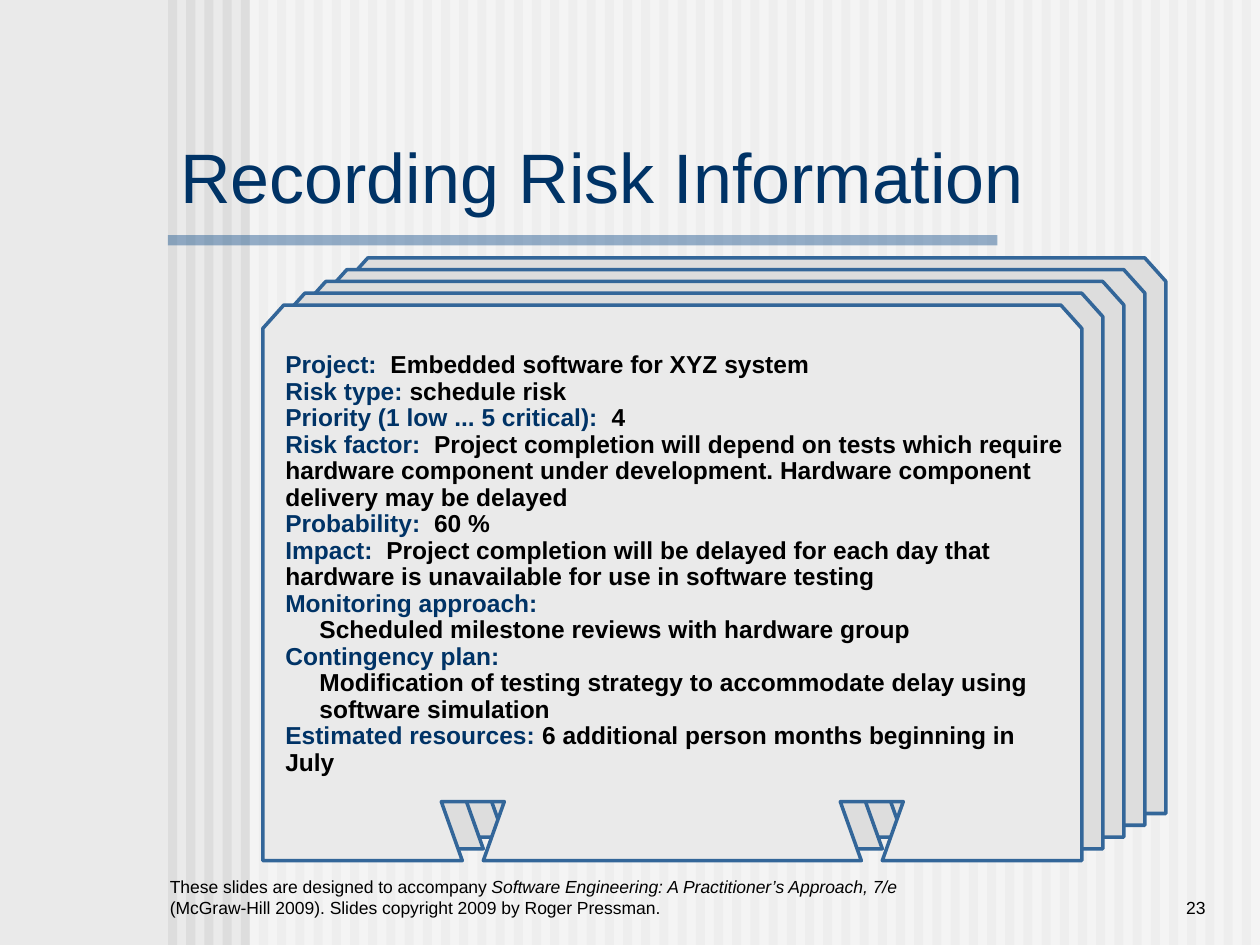
import pptx
import pptx.dml.color
import pptx.enum.shapes
import pptx.enum.text
import pptx.oxml.ns
import pptx.util
from lxml import etree

Pt = pptx.util.Pt
ALIGN = pptx.enum.text.PP_ALIGN
ANCHOR = pptx.enum.text.MSO_ANCHOR

NAVY, BLUE, BLACK, WHITE = "003366", "336699", "000000", "FFFFFF"
PALE, GREY = "EAEAEA", "DDDDDD"

# Label, value, and whether the value sits on its own indented line.
RISK_FIELDS = [
    ("Project:", "  Embedded software for XYZ system", False),
    ("Risk type:", " schedule risk", False),
    ("Priority (1 low ... 5 critical):", "  4", False),
    ("Risk factor:", "  Project completion will depend on tests which require "
     "hardware component under development. Hardware component "
     "delivery may be delayed", False),
    ("Probability:", "  60 %", False),
    ("Impact:", "  Project completion will be delayed for each day that "
     "hardware is unavailable for use in software testing", False),
    ("Monitoring approach:", "Scheduled milestone reviews with hardware group", True),
    ("Contingency plan:", "Modification of testing strategy to accommodate "
     "delay using software simulation", True),
    ("Estimated resources:", " 6 additional person months beginning in July", False),
]


def paint(fill, color, alpha=None):
    """Fill solidly; alpha is the opacity in percent."""
    fill.solid()
    fill.fore_color.rgb = pptx.dml.color.RGBColor.from_string(color)
    if alpha is not None:
        srgb = fill._xPr.find(".//" + pptx.oxml.ns.qn("a:srgbClr"))
        etree.SubElement(srgb, pptx.oxml.ns.qn("a:alpha"), val=str(alpha * 1000))


def add_bar(slide, left, top, width, height, color, alpha=None):
    bar = slide.shapes.add_shape(pptx.enum.shapes.MSO_SHAPE.RECTANGLE,
                                 Pt(left), Pt(top), Pt(width), Pt(height))
    bar.shadow.inherit = False
    bar.line.fill.background()
    paint(bar.fill, color, alpha)


def add_text_frame(slide, left, top, width, height, anchor):
    frame = slide.shapes.add_textbox(Pt(left), Pt(top), Pt(width), Pt(height)).text_frame
    frame.word_wrap = True
    frame.vertical_anchor = anchor
    return frame


def add_run(paragraph, text, size, color, bold=False, italic=False):
    run = paragraph.add_run()
    run.text = text
    font = run.font
    font.name, font.size, font.bold, font.italic = "Arial", Pt(size), bold, italic
    font.color.rgb = pptx.dml.color.RGBColor.from_string(color)


def add_backdrop(slide, left, top, width, height):
    """Vertical stripes, veiled in white on all but the leftmost part."""
    paint(slide.background.fill, PALE)
    pitch = 10.4
    for stripe in range(60):
        add_bar(slide, left + stripe * pitch, top, pitch / 2, height, GREY)
    veil_inset = 46.6
    add_bar(slide, left + veil_inset, top, width - veil_inset, height, WHITE, 50)


def add_title(slide, left, top, width, height):
    frame = add_text_frame(slide, left, top, width, height, ANCHOR.MIDDLE)
    add_run(frame.paragraphs[0], "Recording Risk Information", 40, NAVY)


def add_footer(slide, left, top, width, height):
    source_width, number_width = 432, 102
    source = add_text_frame(slide, left, top, source_width, height, ANCHOR.BOTTOM).paragraphs[0]
    add_run(source, "These slides are designed to accompany ", 10, BLACK)
    add_run(source, "Software Engineering: A Practitioner’s Approach, 7/e ", 10, BLACK, italic=True)
    add_run(source, "(McGraw-Hill 2009). Slides copyright 2009 by Roger Pressman.", 10, BLACK)

    number = add_text_frame(slide, left + width - number_width, top,
                            number_width, height, ANCHOR.BOTTOM).paragraphs[0]
    number.alignment = ALIGN.RIGHT
    add_run(number, "23", 10, BLACK)


def add_card(slide, left, top, width, height, color):
    """Index card with two cut top corners and two notches in its bottom edge."""
    cut_x, cut_y = 12, 13.4
    notch_depth, notch_mouth, notch_flare = 33.7, 12, 12
    right, bottom = left + width, top + height
    outline = [(left, bottom), (left, top + cut_y), (left + cut_x, top),
               (right - cut_x, top), (right, top + cut_y), (right, bottom)]
    for center in (right - 120, left + 120):
        mouth = notch_mouth / 2
        inner = mouth + notch_flare
        outline += [(center + mouth, bottom), (center + inner, bottom - notch_depth),
                    (center - inner, bottom - notch_depth), (center - mouth, bottom)]
    points = [(Pt(x), Pt(y)) for x, y in outline]
    builder = slide.shapes.build_freeform(*points[0])
    builder.add_line_segments(points[1:], close=True)
    card = builder.convert_to_shape()
    card.shadow.inherit = False
    paint(card.fill, color)
    paint(card.line.fill, BLUE)
    card.line.width = Pt(2)


def add_card_stack(slide, left, top, width, height):
    """Five cards from back (top right) to front (bottom left)."""
    count, step_x, step_y = 5, 12, 6.73
    card_width = width - (count - 1) * step_x
    card_height = height - (count - 1) * step_y
    for depth in reversed(range(count)):
        add_card(slide, left + depth * step_x, top + (count - 1 - depth) * step_y,
                 card_width, card_height, GREY if depth else PALE)


def add_risk_record(slide, left, top, width, height):
    frame = add_text_frame(slide, left, top, width, height, ANCHOR.TOP)
    paragraph = frame.paragraphs[0]
    for row, (label, value, on_own_line) in enumerate(RISK_FIELDS):
        if row:
            paragraph = frame.add_paragraph()
        add_run(paragraph, label, 14, NAVY, bold=True)
        if on_own_line:
            paragraph = frame.add_paragraph()
            paragraph._p.get_or_add_pPr().set("marL", str(Pt(19.5)))
        add_run(paragraph, value, 14, BLACK, bold=True)
    for paragraph in frame.paragraphs:
        paragraph.line_spacing = 0.9


def main():
    deck = pptx.Presentation()
    deck.slide_width, deck.slide_height = Pt(720), Pt(540)
    slide = deck.slides.add_slide(deck.slide_layouts[6])

    add_backdrop(slide, 96, 0, 624, 540)
    add_bar(slide, 96, 134.4, 474, 5.8, BLUE, 50)
    add_footer(slide, 90, 492, 606, 36)
    add_card_stack(slide, 150.2, 147.4, 516, 344.4)
    add_risk_record(slide, 156, 198, 462.5, 265.7)
    add_title(slide, 96, 78, 510, 44.6)

    deck.save("out.pptx")


if __name__ == "__main__":
    main()
